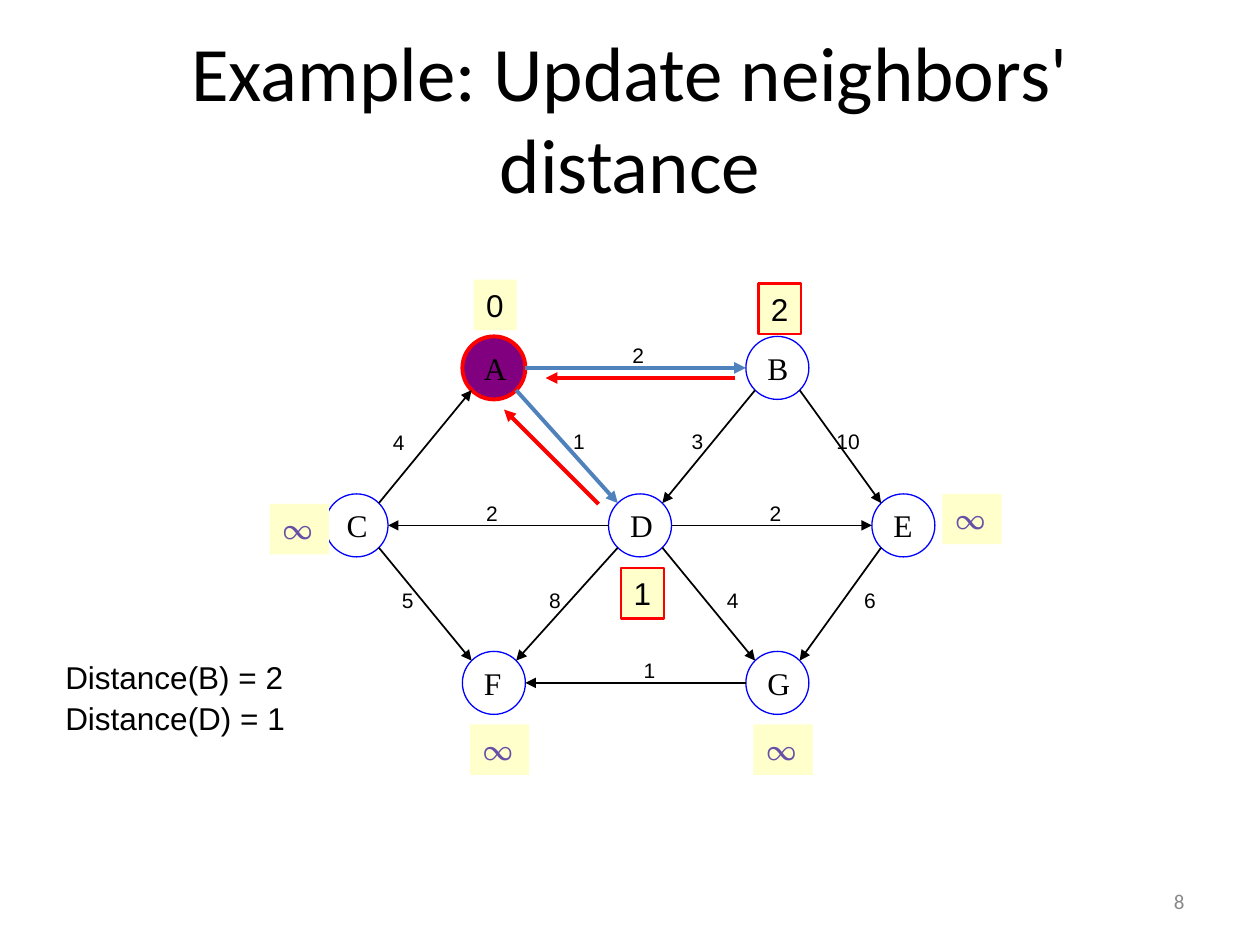
from lxml import etree
from pptx import Presentation
from pptx.dml.color import RGBColor
from pptx.enum.shapes import MSO_CONNECTOR, MSO_SHAPE
from pptx.enum.text import MSO_ANCHOR, MSO_AUTO_SIZE, PP_ALIGN
from pptx.oxml.ns import qn
from pptx.util import Inches, Pt

STRAIGHT = MSO_CONNECTOR.STRAIGHT
OVAL, RECT = MSO_SHAPE.OVAL, MSO_SHAPE.RECTANGLE
TOP, MIDDLE = MSO_ANCHOR.TOP, MSO_ANCHOR.MIDDLE
LEFT, CENTER, RIGHT = PP_ALIGN.LEFT, PP_ALIGN.CENTER, PP_ALIGN.RIGHT
FIXED, GROW = MSO_AUTO_SIZE.NONE, MSO_AUTO_SIZE.SHAPE_TO_FIT_TEXT

BLACK = RGBColor(0x00, 0x00, 0x00)
GRAY = RGBColor(0x89, 0x89, 0x89)
RED = RGBColor(0xFF, 0x00, 0x00)
BLUE = RGBColor(0x00, 0x00, 0xFF)
STEEL = RGBColor(0x4F, 0x81, 0xBD)
PURPLE = RGBColor(0x80, 0x00, 0x80)
VIOLET = RGBColor(0x67, 0x4E, 0xA7)
CREAM = RGBColor(0xFF, 0xFF, 0xCC)

TITLE = "Example: Update neighbors' distance"
CURRENT = "A"
RADIUS = 0.25
NODES = {
    "A": (3.92, 2.92), "B": (6.17, 2.92),
    "C": (2.83, 4.17), "D": (5.08, 4.17), "E": (7.17, 4.17),
    "F": (3.92, 5.42), "G": (6.17, 5.42),
}
# start, end, weight, left and top of the weight
EDGES = [
    ("A", "B", "2", 4.92, 2.67), ("A", "D", "1", 4.45, 3.35),
    ("B", "D", "3", 5.39, 3.35), ("B", "E", "10", 6.54, 3.35),
    ("C", "A", "4", 3.02, 3.36), ("C", "F", "5", 3.09, 4.61),
    ("D", "C", "2", 3.76, 3.92), ("D", "E", "2", 6.01, 3.92),
    ("D", "F", "8", 4.26, 4.61), ("D", "G", "4", 5.67, 4.61),
    ("E", "G", "6", 6.76, 4.61), ("G", "F", "1", 5.01, 5.17),
]
# distance, left, top, updated
DISTANCES = [
    ("0", 3.76, 2.22, False), ("2", 6.02, 2.25, True),
    ("∞", 2.14, 4, False), ("∞", 7.48, 3.92, False),
    ("1", 4.93, 4.51, True),
    ("∞", 3.73, 5.75, False), ("∞", 5.98, 5.75, False),
]
BACK_ARROWS = [((4.75, 4), (4, 3.25)), ((5.83, 3), (4.33, 3))]
NOTES = [("Distance(B) = 2", 5.17), ("Distance(D) = 1", 5.5)]


def write(sp, text, size, font, color=BLACK, anchor=MIDDLE, align=LEFT,
          wrap=False, fit=FIXED):
    tf = sp.text_frame
    tf.word_wrap = wrap
    tf.auto_size = fit
    tf.vertical_anchor = anchor
    p = tf.paragraphs[0]
    p.text = text
    p.alignment = align
    p.font.size = Pt(size)
    p.font.name = font
    p.font.color.rgb = color
    return p


def add_text(s, box, *args, **kwargs):
    sp = s.shapes.add_textbox(*map(Inches, box))
    return write(sp, *args, **kwargs)


def add_box(s, kind, box, fill=None, line=None, width=0.75):
    sp = s.shapes.add_shape(kind, *map(Inches, box))
    sp.shadow.inherit = False
    if fill is None:
        sp.fill.background()
    else:
        sp.fill.solid()
        sp.fill.fore_color.rgb = fill
    if line is None:
        sp.line.fill.background()
    else:
        sp.line.color.rgb = line
        sp.line.width = Pt(width)
    return sp


def add_arrow(s, start, end, color, width):
    cx = s.shapes.add_connector(STRAIGHT, *map(Inches, start + end))
    cx.line.color.rgb = color
    cx.line.width = Pt(width)
    sppr = cx._element.spPr
    etree.SubElement(sppr.find(qn("a:ln")), qn("a:tailEnd"), type="triangle")
    etree.SubElement(sppr, qn("a:effectLst"))


def rim(node, other):
    (x, y), (ox, oy) = NODES[node], NODES[other]
    side = 1 if ox > x else -1
    if y == oy:
        return x + side * RADIUS, y
    reach = RADIUS * 0.5 ** 0.5
    return x + side * reach, y + (reach if oy > y else -reach)


def main():
    prs = Presentation()
    prs.slide_width, prs.slide_height = Inches(10), Inches(7.5)
    s = prs.slides.add_slide(prs.slide_layouts[5])
    title = s.shapes.title
    title.left, title.top, title.width, title.height = map(Inches, (0.5, 0.3, 9, 1.25))
    write(title, TITLE, 44, "Calibri", align=CENTER, wrap=True)
    add_text(s, (7.17, 6.95, 2.33, 0.4), "8", 12, "Calibri", GRAY, align=RIGHT, wrap=True)

    for name, (x, y) in NODES.items():
        style = (PURPLE, RED, 2.25) if name == CURRENT else (None, BLUE)
        box = (x - RADIUS, y - RADIUS, 2 * RADIUS, 2 * RADIUS)
        write(add_box(s, OVAL, box, *style), name, 18, "Times New Roman")

    for start, end, weight, x, y in EDGES:
        style = (STEEL, 2.25) if start == CURRENT else (BLACK, 1)
        add_arrow(s, rim(start, end), rim(end, start), *style)
        box = (x, y, 0.19 + 0.1 * len(weight), 0.3)
        add_text(s, box, weight, 12, "Arial", fit=GROW)

    for value, x, y, updated in DISTANCES:
        width, font, color = (0.47, "Vollkorn", VIOLET) if value == "∞" else (0.34, "Arial", BLACK)
        sp = add_box(s, RECT, (x, y, width, 0.4), CREAM, RED if updated else None, 1.25)
        write(sp, value, 18, font, color, anchor=TOP, fit=GROW)

    for text, y in NOTES:
        p = add_text(s, (0.42, y, 2.13, 0.86), text, 18, "Arial", anchor=TOP, wrap=True)
        p.space_before = Pt(11.2)

    for start, end in BACK_ARROWS:
        add_arrow(s, start, end, RED, 2.25)

    prs.save("out.pptx")


if __name__ == "__main__":
    main()
